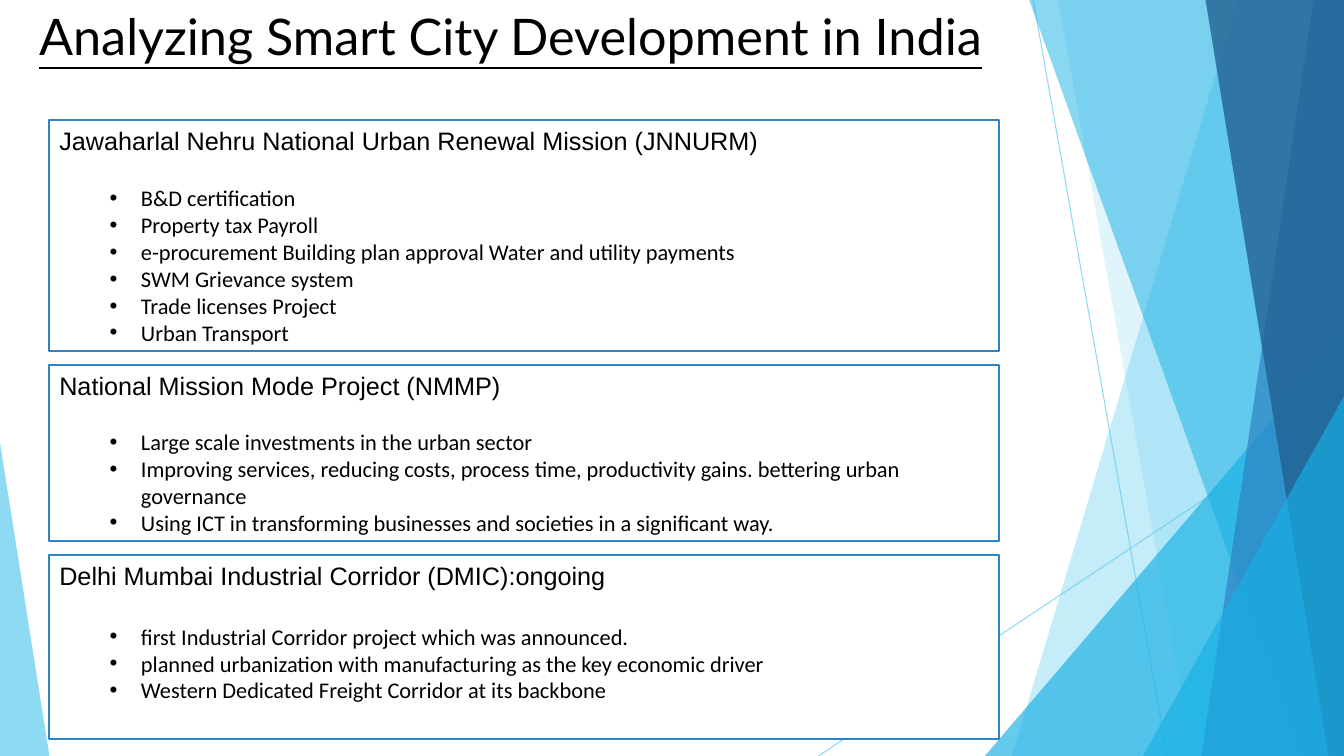
"""Build the slide on smart city development in India; lengths are percentages of the slide."""
from dataclasses import dataclass

from lxml.etree import SubElement
from pptx import Presentation
from pptx.dml.color import RGBColor
from pptx.enum.shapes import MSO_CONNECTOR, MSO_SHAPE
from pptx.enum.text import MSO_ANCHOR, PP_ALIGN
from pptx.oxml.ns import qn
from pptx.util import Inches, Pt

WIDTH, HEIGHT = Inches(13.333), Inches(7.5)
SKY, CYAN, BLUE, NAVY = "5FCBEF", "17B0E4", "2E83C3", "226292"
BLACK, WHITE = "000000", "FFFFFF"
PANEL_LEFT, PANEL_WIDTH, PANEL_TOP, PANEL_GAP = 3.68, 70.65, 15.87, 1.87


@dataclass
class Ray:
    start: tuple[float, float]
    end: tuple[float, float]


@dataclass
class Band:
    top_x: float
    bottom_x: float
    color: str
    opacity: int


@dataclass
class Wedge:
    left: float
    top: float
    width: float
    apex: float
    color: str
    opacity: int


@dataclass
class Panel:
    heading: str
    bullets: list[str]
    height: float
    heading_gap: int


BACKDROP = [
    Ray((76.88, 0), (86.85, 100)),
    Ray((100, 53.73), (60.9, 100)),
    Band(92.1, 75.3, SKY, 36),
    Band(78.75, 88.73, SKY, 20),
    Wedge(73.28, 44.4, 26.72, 1, CYAN, 66),
    Band(76.58, 96.83, CYAN, 50),
    Band(97.73, 89.4, BLUE, 70),
    Band(89.7, 98.85, NAVY, 80),
    Wedge(85.05, 52.4, 14.95, 1, CYAN, 66),
    Wedge(0, 58.53, 3.68, 0, SKY, 70),
]

PANELS = [
    Panel("Jawaharlal Nehru National Urban Renewal Mission (JNNURM)", [
        "B&D certification",
        "Property tax Payroll",
        "e-procurement Building plan approval Water and utility payments",
        "SWM Grievance system",
        "Trade licenses Project",
        "Urban Transport",
    ], 30.53, 21),
    Panel("National Mission Mode Project (NMMP)", [
        "Large scale investments in the urban sector",
        "Improving services, reducing costs, process time, productivity gains. "
        "bettering urban governance",
        "Using ICT in transforming businesses and societies in a significant way.",
    ], 23.33, 20),
    Panel("Delhi Mumbai Industrial Corridor (DMIC):ongoing", [
        "first Industrial Corridor project which was announced.",
        "planned urbanization with manufacturing as the key economic driver",
        "Western Dedicated Freight Corridor at its backbone",
    ], 24.27, 23),
]


def across(share: float) -> int:
    return round(WIDTH * share / 100)


def down(share: float) -> int:
    return round(HEIGHT * share / 100)


def rgb(color: str) -> RGBColor:
    return RGBColor.from_string(color)


def set_opacity(shape, percent: int) -> None:
    for color in shape._element.spPr.iter(qn("a:srgbClr")):
        SubElement(color, qn("a:alpha"), val=str(percent * 1000))


def set_font(paragraph, name: str, size: int) -> None:
    paragraph.font.name = name
    paragraph.font.size = Pt(size)
    paragraph.font.color.rgb = rgb(BLACK)


def fill_translucent(shape, color: str, opacity: int) -> None:
    shape.shadow.inherit = False
    shape.fill.solid()
    shape.fill.fore_color.rgb = rgb(color)
    shape.line.fill.background()
    set_opacity(shape, opacity)


def draw_ray(slide, ray: Ray) -> None:
    line = slide.shapes.add_connector(
        MSO_CONNECTOR.STRAIGHT, across(ray.start[0]), down(ray.start[1]),
        across(ray.end[0]), down(ray.end[1]))
    line.line.color.rgb = rgb(SKY)
    line.line.width = Pt(0.75)
    set_opacity(line, 70)
    SubElement(line._element.spPr, qn("a:effectLst"))


def draw_band(slide, band: Band) -> None:
    outline = slide.shapes.build_freeform(across(band.top_x), 0)
    outline.add_line_segments(
        [(WIDTH, 0), (WIDTH, HEIGHT), (across(band.bottom_x), HEIGHT)], close=True)
    fill_translucent(outline.convert_to_shape(), band.color, band.opacity)


def draw_wedge(slide, wedge: Wedge) -> None:
    triangle = slide.shapes.add_shape(
        MSO_SHAPE.ISOSCELES_TRIANGLE, across(wedge.left), down(wedge.top),
        across(wedge.width), down(100 - wedge.top))
    triangle.adjustments[0] = wedge.apex
    fill_translucent(triangle, wedge.color, wedge.opacity)


def draw_title(slide, wording: str) -> None:
    title = slide.shapes.add_textbox(0, 0, across(76), down(19.73)).text_frame
    title.word_wrap = True
    title.vertical_anchor = MSO_ANCHOR.TOP
    line = title.paragraphs[0]
    line.text = wording
    line.alignment = PP_ALIGN.CENTER
    set_font(line, "Lato", 36)
    line.font.underline = True


def add_bullet(frame, wording: str):
    item = frame.add_paragraph()
    item.text = wording
    item.level = 1
    item.alignment = PP_ALIGN.LEFT
    properties = item._p.get_or_add_pPr()
    properties.set("marL", str(Inches(0.81)))
    properties.set("indent", str(-Inches(0.31)))
    SubElement(properties, qn("a:buFont"), typeface="Arial")
    SubElement(properties, qn("a:buChar"), char="•")
    set_font(item, "Calibri", 16)
    return item


def draw_panel(slide, panel: Panel, top: float) -> None:
    box = slide.shapes.add_shape(
        MSO_SHAPE.RECTANGLE, across(PANEL_LEFT), down(top),
        across(PANEL_WIDTH), down(panel.height))
    box.shadow.inherit = False
    box.fill.solid()
    box.fill.fore_color.rgb = rgb(WHITE)
    box.line.color.rgb = rgb(BLUE)
    box.line.width = Pt(1.5)
    frame = box.text_frame
    frame.word_wrap = True
    frame.vertical_anchor = MSO_ANCHOR.TOP
    heading = frame.paragraphs[0]
    heading.text = panel.heading
    heading.alignment = PP_ALIGN.LEFT
    set_font(heading, "Arial", 18)
    items = [add_bullet(frame, wording) for wording in panel.bullets]
    items[0].space_before = Pt(panel.heading_gap)


def main() -> None:
    deck = Presentation()
    deck.slide_width, deck.slide_height = WIDTH, HEIGHT
    slide = deck.slides.add_slide(deck.slide_layouts[6])
    painters = {Ray: draw_ray, Band: draw_band, Wedge: draw_wedge}
    for piece in BACKDROP:
        painters[type(piece)](slide, piece)
    draw_title(slide, "Analyzing Smart City Development in India")
    top = PANEL_TOP
    for panel in PANELS:
        draw_panel(slide, panel, top)
        top += panel.height + PANEL_GAP
    deck.save("out.pptx")


if __name__ == "__main__":
    main()
